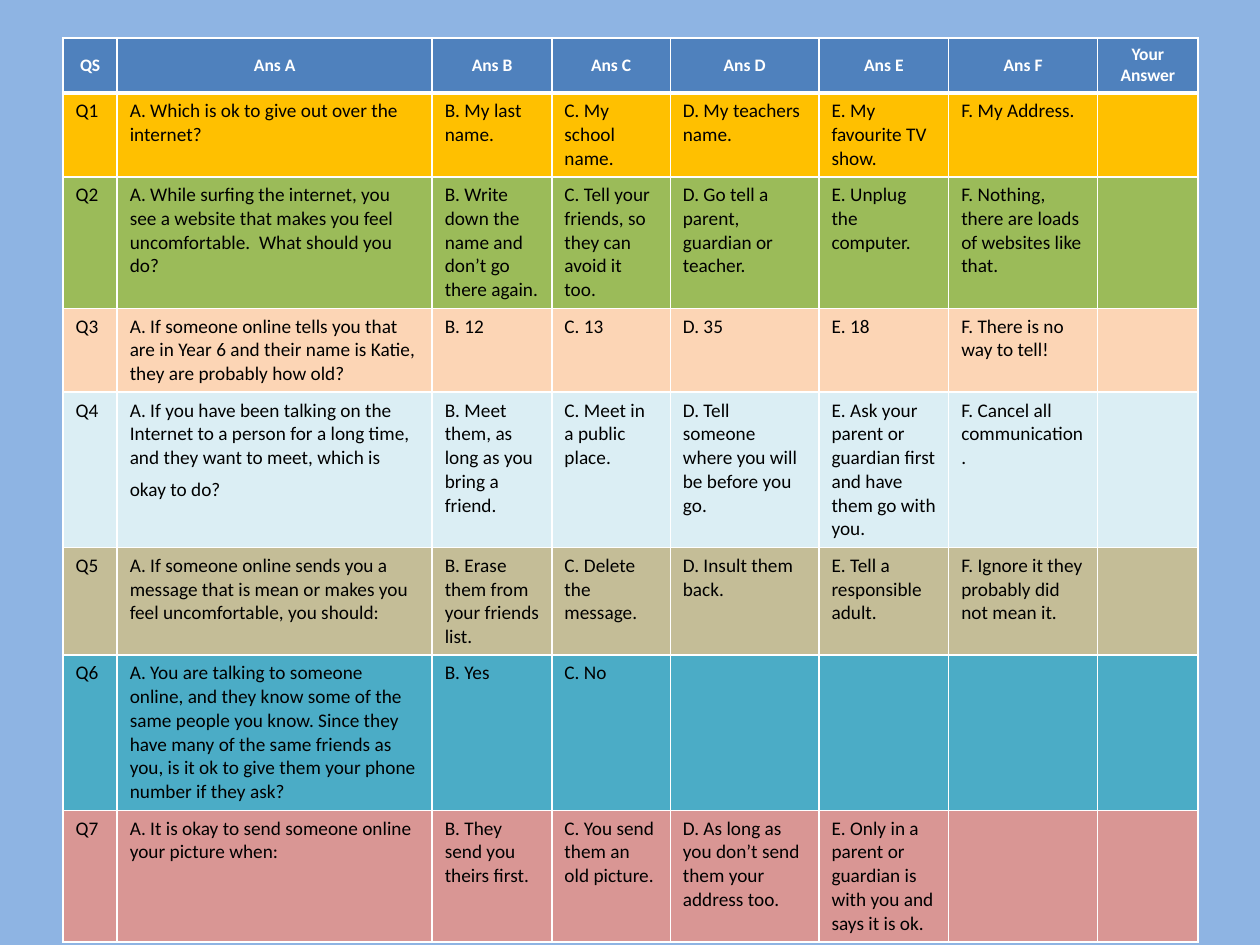
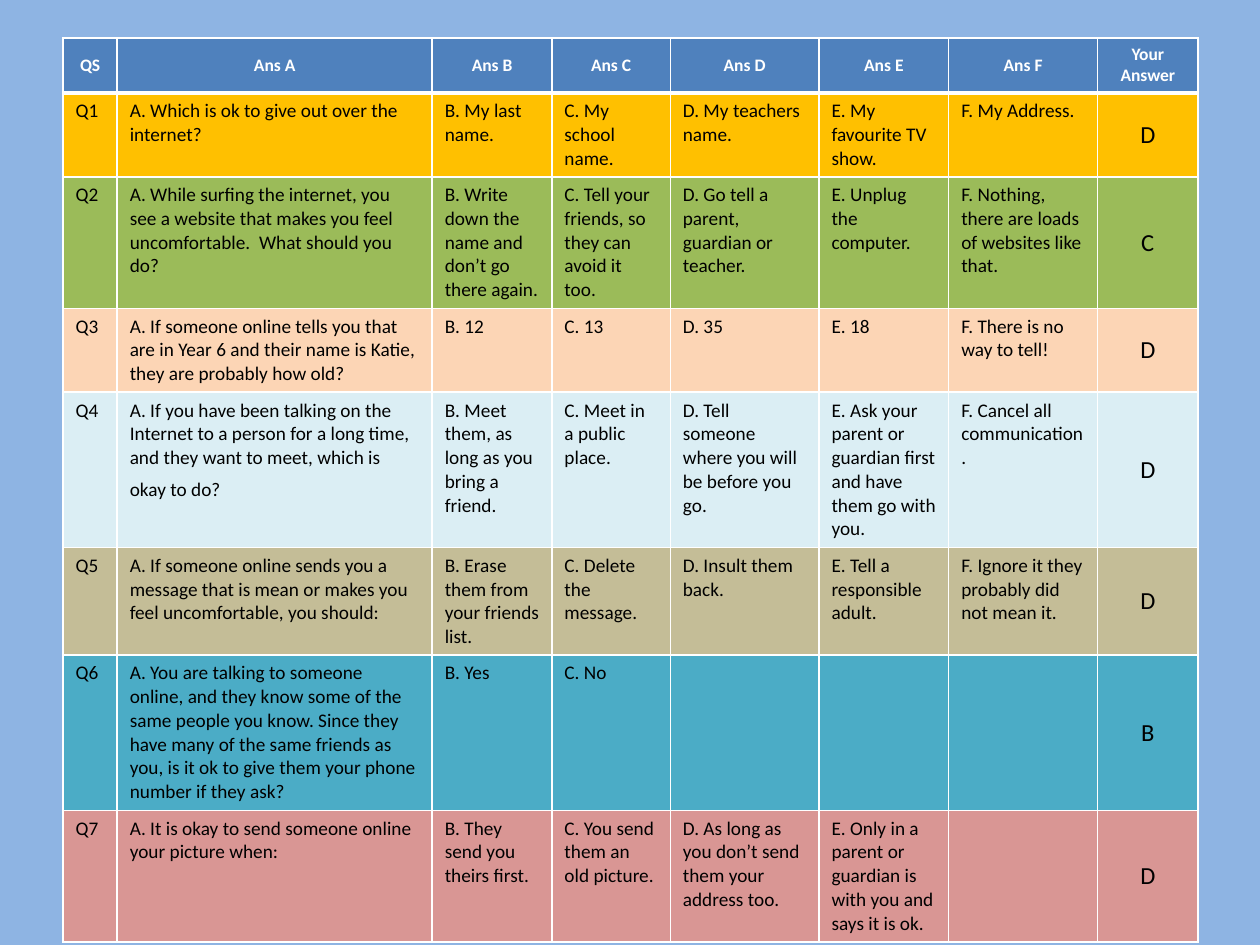
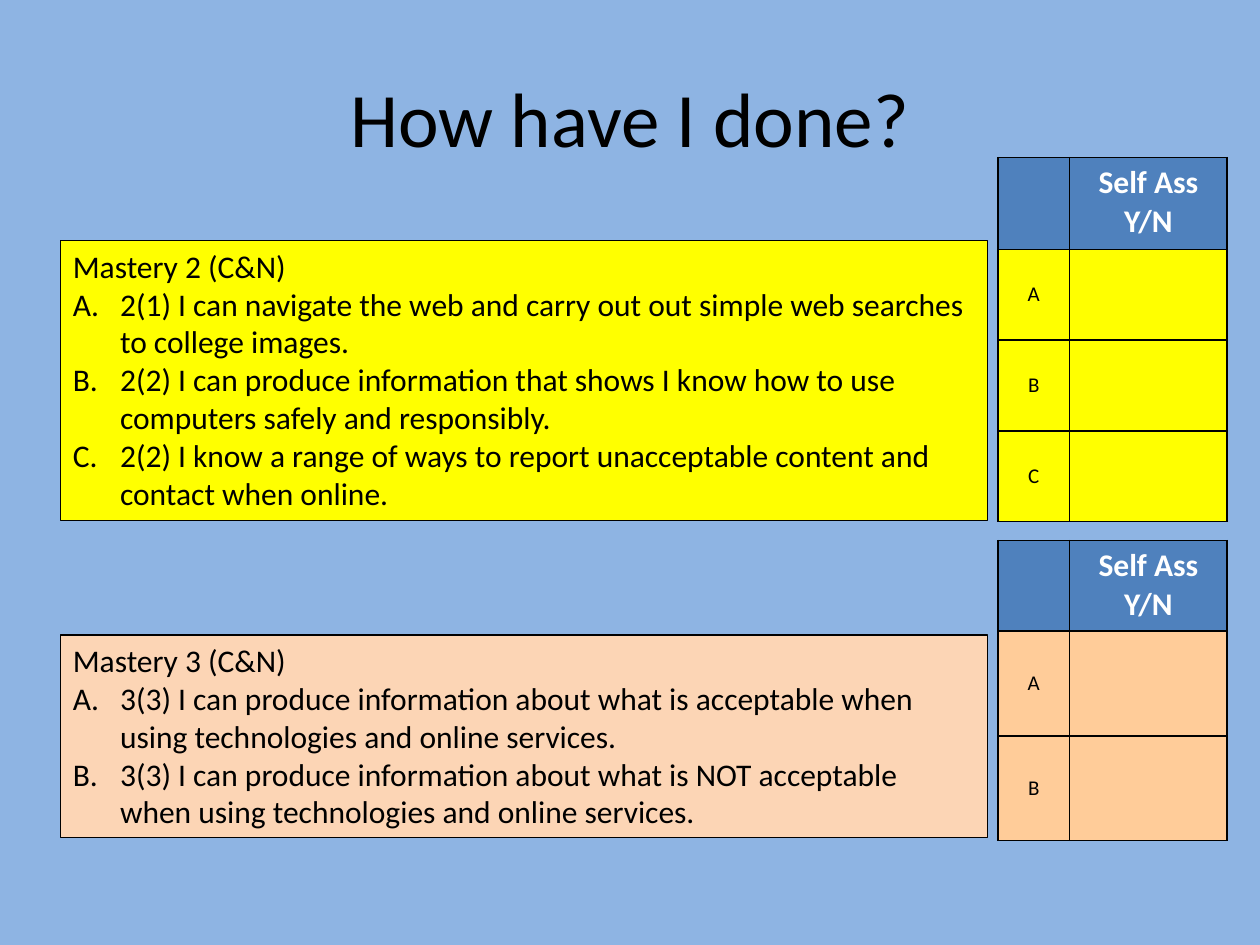
from lxml.etree import SubElement
from pptx import Presentation
from pptx.dml.color import RGBColor
from pptx.enum.shapes import MSO_SHAPE
from pptx.enum.text import MSO_ANCHOR, MSO_AUTO_SIZE, PP_ALIGN
from pptx.oxml import parse_xml
from pptx.oxml.ns import nsdecls, qn
from pptx.util import Inches, Pt

FONT = "Calibri"
BACKGROUND = RGBColor(0x8E, 0xB4, 0xE3)
HEADER_BLUE = RGBColor(0x4F, 0x81, 0xBD)
WHITE = RGBColor(0xFF, 0xFF, 0xFF)
BLACK = RGBColor(0x00, 0x00, 0x00)
GOLD = RGBColor(0xFF, 0xC0, 0x00)
GREEN = RGBColor(0x9B, 0xBB, 0x59)
PEACH = RGBColor(0xFC, 0xD5, 0xB5)
PALE_BLUE = RGBColor(0xDB, 0xEE, 0xF4)
TAN = RGBColor(0xC4, 0xBD, 0x97)
TEAL = RGBColor(0x4B, 0xAC, 0xC6)
ROSE = RGBColor(0xD9, 0x96, 0x94)
YELLOW = RGBColor(0xFF, 0xFF, 0x00)
ORANGE = RGBColor(0xFF, 0xCC, 0x99)

HANGING_INDENT = Inches(3 / 8)
QUIZ_BOX = (0.5, 0.3, 9, 7)
QUIZ_COLUMNS = (0.43, 2.5, 0.95, 0.94, 1.18, 1.03, 1.18, 0.8)
QUIZ_HEADER = ("QS", *(f"Ans {letter}" for letter in "ABCDEF"), "Your Answer")
SPACER = "\u00a0"  # larger closing space that opens up the last line of Q4
QUESTIONS = (
    (GOLD, ("A. Which is ok to give out over the internet?",
            "B. My last name.", "C. My school name.", "D. My teachers name.",
            "E. My favourite TV show.", "F. My Address.")),
    (GREEN, ("A. While surfing the internet, you see a website that makes you "
             "feel uncomfortable.  What should you do?",
             "B. Write down the name and don’t go there again.",
             "C. Tell your friends, so they can avoid it too.",
             "D. Go tell a parent, guardian or teacher.",
             "E. Unplug the computer.",
             "F. Nothing, there are loads of websites like that.")),
    (PEACH, ("A. If someone online tells you that are in Year 6 and their name "
             "is Katie, they are probably how old?",
             "B. 12", "C. 13", "D. 35", "E. 18", "F. There is no way to tell!")),
    (PALE_BLUE, ("A. If you have been talking on the Internet to a person for a "
                 "long time, and they want to meet, which is okay to do? " + SPACER,
                 "B. Meet them, as long as you bring a friend.",
                 "C. Meet in a public place.",
                 "D. Tell someone where you will be before you go.",
                 "E. Ask your parent or guardian first and have them go with you.",
                 "F. Cancel all communication.")),
    (TAN, ("A. If someone online sends you a message that is mean or makes you "
           "feel uncomfortable, you should:",
           "B. Erase them from your friends list.", "C. Delete the message.",
           "D. Insult them back.", "E. Tell a responsible adult.",
           "F. Ignore it they probably did not mean it.")),
    (TEAL, ("A. You are talking to someone online, and they know some of the "
            "same people you know. Since they have many of the same friends as "
            "you, is it ok to give them your phone number if they ask?",
            "B. Yes", "C. No", "", "", "")),
    (ROSE, ("A. It is okay to send someone online your picture when:",
            "B. They send you theirs first.", "C. You send them an old picture.",
            "D. As long as you don’t send them your address too.",
            "E. Only in a parent or guardian is with you and says it is ok.", "")),
)
GIVEN_ANSWERS = "DCDDDBD"


def style_paragraph(paragraph, size, color=BLACK, bold=False, align=None):
    font = paragraph.font
    font.name, font.size, font.bold = FONT, Pt(size), bold
    font.color.rgb = color
    if align is not None:
        paragraph.alignment = align


def set_borders(cell, color, top=1, bottom=1):
    properties = cell._tc.get_or_add_tcPr()
    widths = {"lnL": 1, "lnR": 1, "lnT": top, "lnB": bottom}
    for position, (side, width) in enumerate(widths.items()):
        properties.insert(position, parse_xml(
            f'<a:{side} {nsdecls("a")} w="{Pt(width)}"><a:solidFill>'
            f'<a:srgbClr val="{color}"/></a:solidFill></a:{side}>'))


def add_grid(slide, box, column_widths, row_heights):
    frame = slide.shapes.add_table(len(row_heights), len(column_widths),
                                   *map(Inches, box))
    table = frame.table
    table.horz_banding = False
    for column, width in zip(table.columns, column_widths):
        column.width = Inches(width)
    for row, height in zip(table.rows, row_heights):
        row.height = Inches(height)
    frame.height = Inches(box[3])
    return table


def fill_cell(cell, fill, text="", size=11, color=BLACK, bold=False,
              align=None, anchor=None):
    cell.fill.solid()
    cell.fill.fore_color.rgb = fill
    if anchor is not None:
        cell.vertical_anchor = anchor
    if text:
        cell.text = text
        for paragraph in cell.text_frame.paragraphs:
            style_paragraph(paragraph, size, color, bold, align)


def add_quiz(slide, box, answers):
    table = add_grid(slide, box, QUIZ_COLUMNS, [0.41] * (len(QUESTIONS) + 1))
    centred = {"align": PP_ALIGN.CENTER, "anchor": MSO_ANCHOR.MIDDLE}

    # Header row
    for column, heading in enumerate(QUIZ_HEADER):
        cell = table.cell(0, column)
        fill_cell(cell, HEADER_BLUE, heading, 10, WHITE, True, **centred)
        set_borders(cell, WHITE, bottom=3)

    # One coloured row for each question
    for row, ((fill, options), answer) in enumerate(zip(QUESTIONS, answers), 1):
        for column, text in enumerate((f"Q{row}", *options)):
            cell = table.cell(row, column)
            fill_cell(cell, fill, text.removesuffix(SPACER))
            if text.endswith(SPACER):
                run = cell.text_frame.paragraphs[0].add_run()
                run.text = SPACER
                run.font.size = Pt(16)
        fill_cell(table.cell(row, len(options) + 1), fill, answer.strip(), 14,
                  **centred)
        for cell in table.rows[row].cells:
            set_borders(cell, WHITE, top=3 if row == 1 else 1)


def add_mastery_panel(slide, box, fill, heading, statements):
    panel = slide.shapes.add_shape(MSO_SHAPE.RECTANGLE, *map(Inches, box))
    panel.shadow.inherit = False
    panel.fill.solid()
    panel.fill.fore_color.rgb = fill
    panel.line.color.rgb = BLACK
    panel.line.width = Pt(0.75)
    text_frame = panel.text_frame
    text_frame.word_wrap = True
    text_frame.auto_size = MSO_AUTO_SIZE.SHAPE_TO_FIT_TEXT
    text_frame.vertical_anchor = MSO_ANCHOR.TOP
    text_frame.text = "\n".join((heading, *statements))
    for paragraph in text_frame.paragraphs:
        style_paragraph(paragraph, 18, align=PP_ALIGN.LEFT)

    # Lettered statements with a hanging indent
    for paragraph in text_frame.paragraphs[1:]:
        properties = paragraph._p.get_or_add_pPr()
        properties.set("marL", str(HANGING_INDENT))
        properties.set("indent", str(-HANGING_INDENT))
        numbering = SubElement(properties, qn("a:buAutoNum"))
        numbering.set("type", "alphaUcPeriod")
        properties.insert(0, numbering)


def add_self_assessment(slide, box, fill, letters, header_height, row_height):
    table = add_grid(slide, box, (0.57, 1.25),
                     [header_height] + [row_height] * len(letters))
    fill_cell(table.cell(0, 0), HEADER_BLUE)
    fill_cell(table.cell(0, 1), HEADER_BLUE, "Self Ass\nY/N", 18, WHITE, True,
              PP_ALIGN.CENTER)
    for row, letter in enumerate(letters, 1):
        fill_cell(table.cell(row, 0), fill, letter, 12,
                  align=PP_ALIGN.CENTER, anchor=MSO_ANCHOR.MIDDLE)
        fill_cell(table.cell(row, 1), fill)
    for cell in table.iter_cells():
        set_borders(cell, BLACK)


def add_title(slide, box, text):
    title = slide.shapes.title
    title.left, title.top, title.width, title.height = map(Inches, box)
    title.text_frame.text = text
    title.text_frame.vertical_anchor = MSO_ANCHOR.MIDDLE
    style_paragraph(title.text_frame.paragraphs[0], 44, align=PP_ALIGN.CENTER)


presentation = Presentation()
presentation.slide_width, presentation.slide_height = Inches(10), Inches(7.5)
background_fill = presentation.slide_master.background.fill
background_fill.solid()
background_fill.fore_color.rgb = BACKGROUND
title_only, blank = presentation.slide_layouts[5], presentation.slide_layouts[6]

# Slides 1 and 2: the quiz, unanswered and answered
for answers in (" " * len(QUESTIONS), GIVEN_ANSWERS):
    add_quiz(presentation.slides.add_slide(blank), QUIZ_BOX, answers)

# Slide 3: self-assessment
review = presentation.slides.add_slide(title_only)
add_title(review, (0.5, 0.3, 9, 1.25), "How have I done?")
add_mastery_panel(review, (0.48, 1.91, 7.36, 2.22), YELLOW, "Mastery 2 (C&N)", (
    "2(1) I can navigate the web and carry out out simple web searches to "
    "college images.",
    "2(2) I can produce information that shows I know how to use computers "
    "safely and responsibly.",
    "2(2) I know a range of ways to report unacceptable content and contact "
    "when online."))
add_mastery_panel(review, (0.48, 5.04, 7.36, 1.61), PEACH, "Mastery 3 (C&N)", (
    "3(3) I can produce information about what is acceptable when using "
    "technologies and online services.",
    "3(3) I can produce information about what is NOT acceptable when using "
    "technologies and online services."))
add_self_assessment(review, (7.92, 1.25, 1.82, 2.88), YELLOW, "ABC", 0.73, 0.72)
add_self_assessment(review, (7.92, 4.29, 1.82, 2.38), ORANGE, "AB", 0.72, 0.83)

presentation.save("out.pptx")
